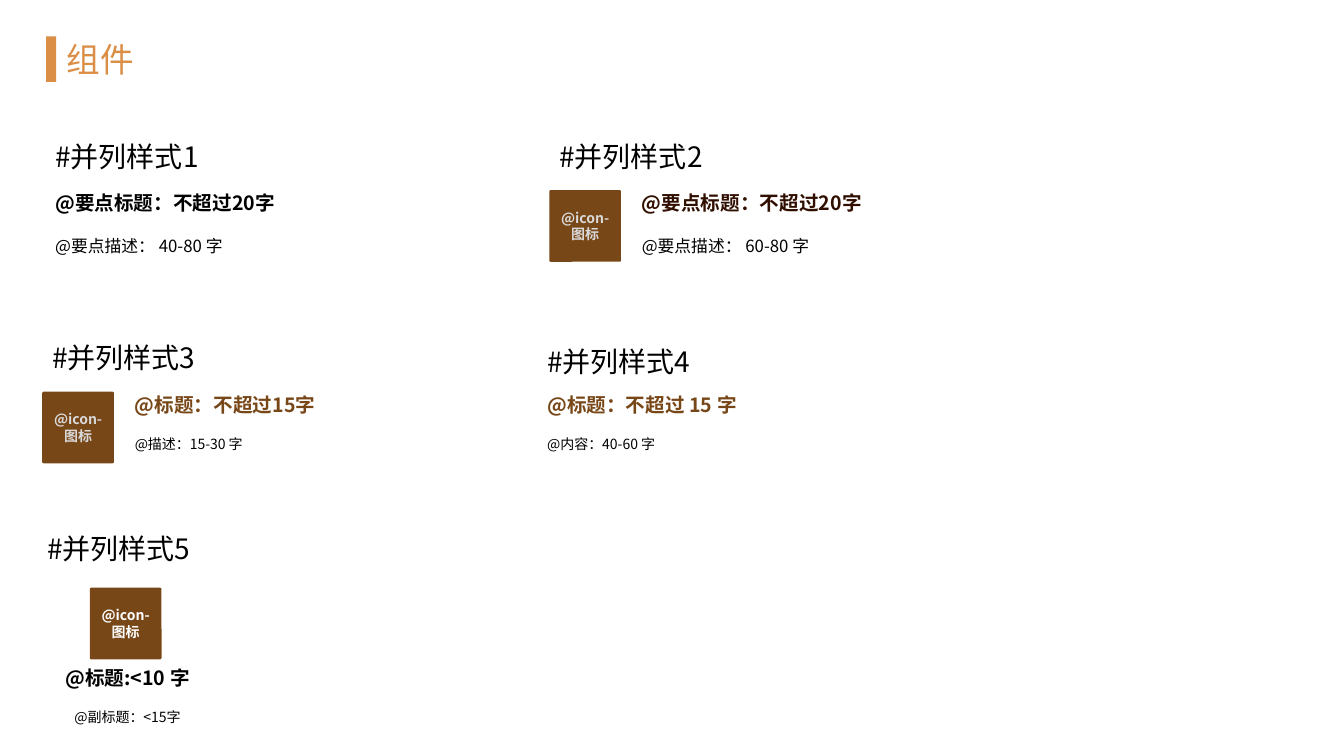
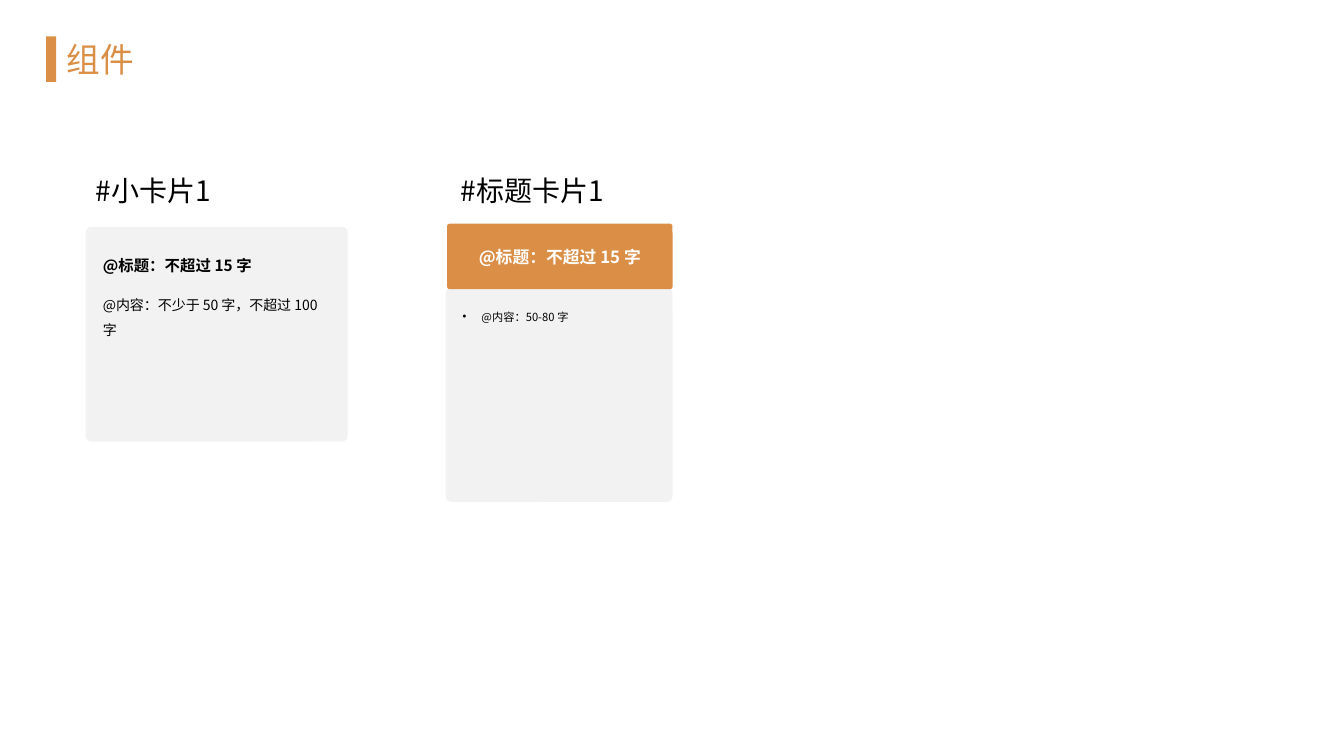
from dataclasses import dataclass

from lxml.etree import SubElement as Sub
from pptx import Presentation
from pptx.dml.color import RGBColor as RGB
from pptx.enum.shapes import MSO_SHAPE as Form
from pptx.enum.text import MSO_ANCHOR as Anchor, MSO_AUTO_SIZE as Fit, PP_ALIGN as Align
from pptx.oxml.ns import qn
from pptx.util import Pt


@dataclass(frozen=True)
class Theme:
    font: str = "Noto Sans CJK SC"
    gold: RGB = RGB(0xDA, 0x8E, 0x46)
    brown: RGB = RGB(0x78, 0x47, 0x18)
    dark: RGB = RGB(0x31, 0x0F, 0x00)
    black: RGB = RGB(0, 0, 0)
    white: RGB = RGB(255, 255, 255)
    pale: RGB = RGB(0xF2, 0xF2, 0xF2)
    grey: RGB = RGB(0xD9, 0xD9, 0xD9)
    title: int = 24
    head: int = 20
    lead: int = 14
    body: int = 12
    mid: int = 11
    note: int = 10
    tiny: int = 8


T = Theme()
ICON = 51.2
LEAD = 26
HEAD = (222, 32)


# Shared text and shape helpers
def write(frame, text, size, color, bold=False, align=Align.LEFT, space=None):
    """Add one formatted run to the first paragraph."""
    frame.word_wrap = True
    para = frame.paragraphs[0]
    para.alignment = align
    if space:
        para.line_spacing = space
    run = para.add_run()
    run.text = text
    font = run.font
    font.name, font.size, font.bold = T.font, Pt(size), bold
    font.color.rgb = color
    Sub(run._r.get_or_add_rPr(), qn("a:ea"), typeface=T.font)
    return para


def label(shapes, box, text, size, color=T.black, anchor=Anchor.TOP, **look):
    frame = shapes.add_textbox(*map(Pt, box)).text_frame
    frame.vertical_anchor = anchor
    write(frame, text, size, color, **look)


def panel(shapes, box, fill, round=None):
    form = Form.RECTANGLE if round is None else Form.ROUNDED_RECTANGLE
    shape = shapes.add_shape(form, *map(Pt, box))
    if round is not None:
        shape.adjustments[0] = round
    shape.shadow.inherit = False
    shape.fill.solid()
    shape.fill.fore_color.rgb = fill
    shape.line.fill.background()
    return shape


def icon(shapes, x, y, color):
    tile = panel(shapes, (x, y, ICON, ICON), T.brown, 0.02)
    write(tile.text_frame, "@icon-图标", T.note, color, True, Align.CENTER)


def head(shapes, x, y, text):
    label(shapes, (x, y, *HEAD), text, T.head)


def pair(shapes, box, lead, note, size, color=T.black, align=Align.LEFT):
    """Bold line with a spaced description below it."""
    x, y, w, h = box
    label(shapes, (x, y, w, LEAD), lead, T.lead, color, Anchor.MIDDLE,
          bold=True, align=align)
    label(shapes, (x, y + LEAD, w, h - LEAD), note, size, align=align, space=1.5)


# Layout shared by both slides
def frame(deck):
    layout = deck.slide_layouts[5]
    title = layout.placeholders[0]
    title.left, title.top, title.width, title.height = map(Pt, (40.4, 20.2, 880, 44))
    return layout


def page(deck, layout):
    slide = deck.slides.add_slide(layout)
    text = slide.shapes.title.text_frame
    text.auto_size, text.vertical_anchor = Fit.NONE, Anchor.MIDDLE
    write(text, "组件", T.title, T.gold)
    return slide


def mark(slide, layout):
    """Place the title bar on the layout."""
    bar = panel(slide.shapes, (33, 26, 7.2, 32.5), T.gold)
    layout.shapes._spTree.append(bar._element)


# List styles, each relative to its box
def item(slide, box, name, lead, note, size, color=T.black, tile=None, gap=36):
    """Heading over a text pair, with an icon at the left if tile is set."""
    x, y, w, h = box
    parts = slide.shapes.add_group_shape().shapes
    head(parts, x, y, name)
    inset = 0
    if tile is not None:
        icon(parts, x, y + gap + 4, tile)
        inset = 59
    pair(parts, (x + inset, y + gap, w - inset, h - gap), lead, note, size, color)


def stack(slide, box, name, lead, note):
    """Heading, icon and centred text pair, one below another."""
    x, y, w, h = box
    parts = slide.shapes.add_group_shape().shapes
    head(parts, x, y, name)
    icon(parts, x + 37.6, y + 44, T.white)
    pair(parts, (x, y + 95, w, h - 95), lead, note, T.note, align=Align.CENTER)


# Card styles, each relative to its box
def card(slide, box, name, lead, note):
    x, y, w, h = box
    parts = slide.shapes.add_group_shape().shapes
    head(parts, x, y, name)
    panel(parts, (x, y + 41.8, w, h - 41.8), T.pale, 0.027)
    label(parts, (x + 5.2, y + 82, w - 15, 108), note, T.note, space=1.5)
    label(parts, (x + 5.2, y + 52.6, w - 8, 27.4), lead, T.mid, bold=True, space=1.5)


def banner(slide, box, name, lead, note):
    x, y, w, h = box
    parts = slide.shapes.add_group_shape().shapes
    # Body with a bullet
    base = panel(parts, (x, y + 85, w, h - 85), T.pale, 0.027).text_frame
    base.vertical_anchor = Anchor.TOP
    base.margin_left = base.margin_right = Pt(10.8)
    base.margin_top = base.margin_bottom = Pt(10.8)
    para = write(base, note, T.tiny, T.black, space=1.5)
    props = para._p.get_or_add_pPr()
    props.set("marL", str(Pt(13.5)))
    props.set("indent", str(-Pt(13.5)))
    Sub(props, qn("a:buChar"), char="•")
    # Title band
    band = panel(parts, (x + 1, y + 39.6, w - 1, 46.8), T.gold, 0.04)
    write(band.text_frame, lead, T.body, T.white, True, Align.CENTER)
    head(parts, x + 3.6, y, name)


# Slides
def lists(slide):
    item(slide, (32.4, 95.8, 451, 131.8), "#并列样式1",
         "@要点标题：不超过20字", "@要点描述： 40-80 字", T.body)
    item(slide, (392.4, 95.8, 472, 131.8), "#并列样式2",
         "@要点标题：不超过20字", "@要点描述： 60-80 字", T.body, T.dark, T.grey)
    item(slide, (30.2, 239.8, 295, 100), "#并列样式3",
         "@标题：不超过15字", "@描述：15-30 字", T.note, T.brown, T.grey)
    item(slide, (383.8, 242.8, 221, 116), "#并列样式4",
         "@标题：不超过 15 字", "@内容：40-60 字", T.note, T.brown, gap=33)
    stack(slide, (26.6, 375.8, 129, 159), "#并列样式5",
          "@标题:<10 字", "@副标题：<15字")


def cards(slide):
    card(slide, (61.2, 120.2, 187.2, 195.2), "#小卡片1",
         "@标题：不超过 15 字", "@内容：不少于 50 字，不超过 100 字")
    banner(slide, (318.4, 120.2, 162, 238.4), "#标题卡片1",
           "@标题：不超过 15 字", "@内容：50-80 字")


def main():
    deck = Presentation()
    deck.slide_width, deck.slide_height = Pt(960), Pt(540)
    layout = frame(deck)
    first, second = (page(deck, layout) for _ in range(2))
    mark(first, layout)
    lists(first)
    cards(second)
    deck.save("out.pptx")


if __name__ == "__main__":
    main()
